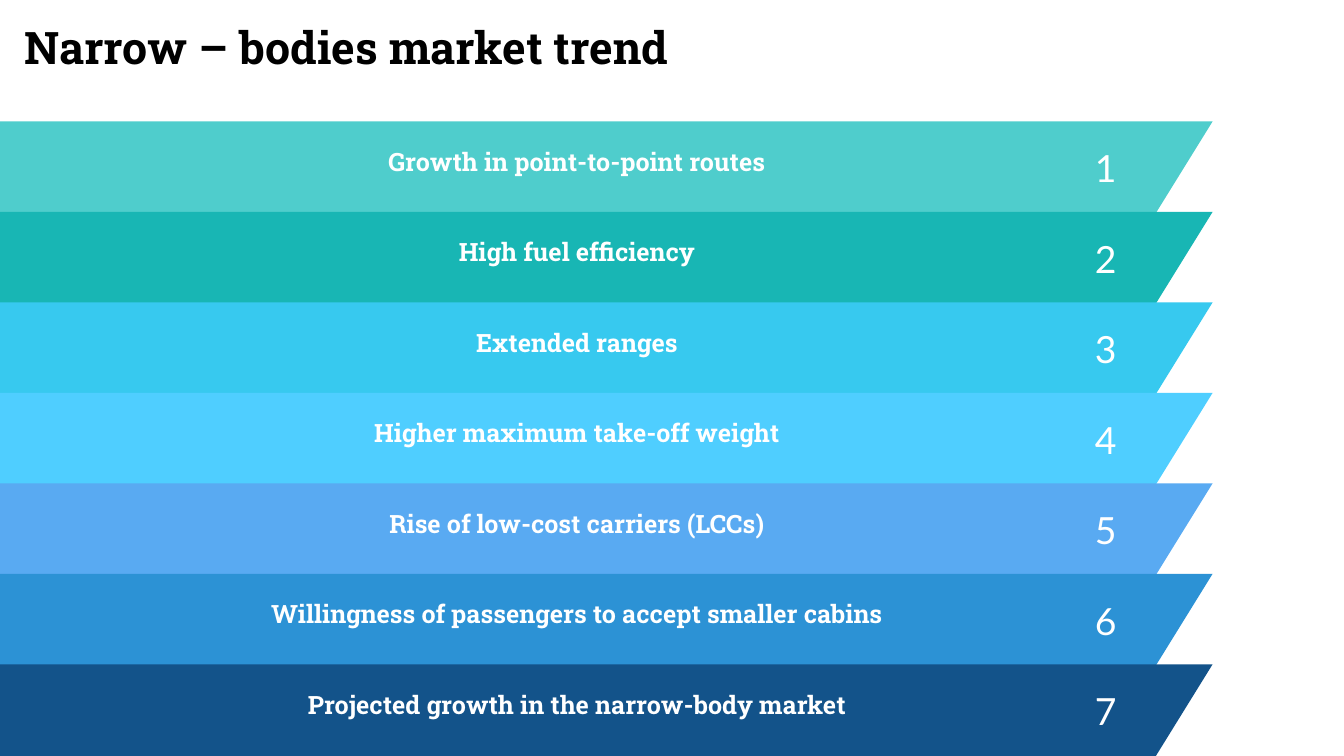
from pptx import Presentation
from pptx.dml.color import RGBColor
from pptx.enum.text import MSO_ANCHOR as Anchor, MSO_AUTO_SIZE as AutoSize, PP_ALIGN as Align
from pptx.util import Cm, Pt

TRENDS = [
    ("Growth in point-to-point routes", "4FCDCC"),
    ("High fuel efficiency", "18B6B4"),
    ("Extended ranges", "37C9EF"),
    ("Higher maximum take-off weight", "4FCEFF"),
    ("Rise of low-cost carriers (LCCs)", "59AAF2"),
    ("Willingness of passengers to accept smaller cabins", "2C92D5"),
    ("Projected growth in the narrow-body market", "13538A"),
]
BAR_PITCH = 2.28
BAR_SLANT = 1.43
TITLE_FONT = {"name": "Roboto Slab", "size": Pt(32), "bold": True}
LABEL_FONT = {"name": "Roboto Slab", "size": Pt(18), "bold": True}
NUMBER_FONT = {"name": "Lato", "size": Pt(26.7), "bold": False}


def rgb(value):
    return RGBColor.from_string(value)


def set_all(target, values):
    for name, value in values.items():
        setattr(target, name, value)


def add_text(slide, box, text, font, color, frame, para):
    sp = slide.shapes.add_textbox(*map(Cm, box))
    tf = sp.text_frame
    set_all(tf, {"word_wrap": True, **frame})
    p = tf.paragraphs[0]
    set_all(p, para)
    r = p.add_run()
    r.text = text
    set_all(r.font, font)
    r.font.color.rgb = rgb(color)
    return r


def margins(size):
    return {f"margin_{side}": Cm(size) for side in ("left", "top", "right", "bottom")}


def add_title(slide, box, text):
    add_text(slide, box, text, TITLE_FONT, "000000",
             {"auto_size": AutoSize.SHAPE_TO_FIT_TEXT}, {"alignment": Align.LEFT})


def add_band(slide, box, color):
    x, y, w, h = box
    corners = [(x + BAR_SLANT, y), (x + w, y), (x + w - BAR_SLANT, y + h), (x, y + h)]
    points = [(Cm(px), Cm(py)) for px, py in corners]
    builder = slide.shapes.build_freeform(*points[0])
    builder.add_line_segments(points[1:], close=True)
    sp = builder.convert_to_shape()
    sp.shadow.inherit = False
    sp.fill.solid()
    sp.fill.fore_color.rgb = rgb(color)
    sp.line.fill.background()


def add_trend(slide, box, number, text, color):
    x, y, w, h = box
    add_band(slide, box, color)
    add_text(slide, (x + 0.71, y - 0.4, w - BAR_SLANT, h + 0.4), text, LABEL_FONT, "FFFFFF",
             {"vertical_anchor": Anchor.MIDDLE, **margins(0.1)},
             {"alignment": Align.CENTER, "line_spacing": Pt(24.3)})
    r = add_text(slide, (x + w - 3.33, y + 0.42, 1.27, 1.24), str(number), NUMBER_FONT, "FFFFFF",
                 {"auto_size": AutoSize.SHAPE_TO_FIT_TEXT, **margins(0)},
                 {"alignment": Align.CENTER, "line_spacing": Pt(37.3)})
    r.font._element.set("spc", "80")


def add_trends(slide, box):
    x, y, w, h = box
    bar_h = h - BAR_PITCH * (len(TRENDS) - 1)
    for i, (text, color) in enumerate(TRENDS):
        add_trend(slide, (x, y + i * BAR_PITCH, w, bar_h), i + 1, text, color)


def main():
    prs = Presentation()
    prs.slide_width, prs.slide_height = Cm(33.87), Cm(19.05)
    s = prs.slides.add_slide(prs.slide_layouts[6])
    add_trends(s, (-1.47, 3.06, 32.03, 15.99))
    add_title(s, (0.36, 0.38, 25.88, 1.63), "Narrow – bodies market trend")
    prs.save("out.pptx")


if __name__ == "__main__":
    main()
